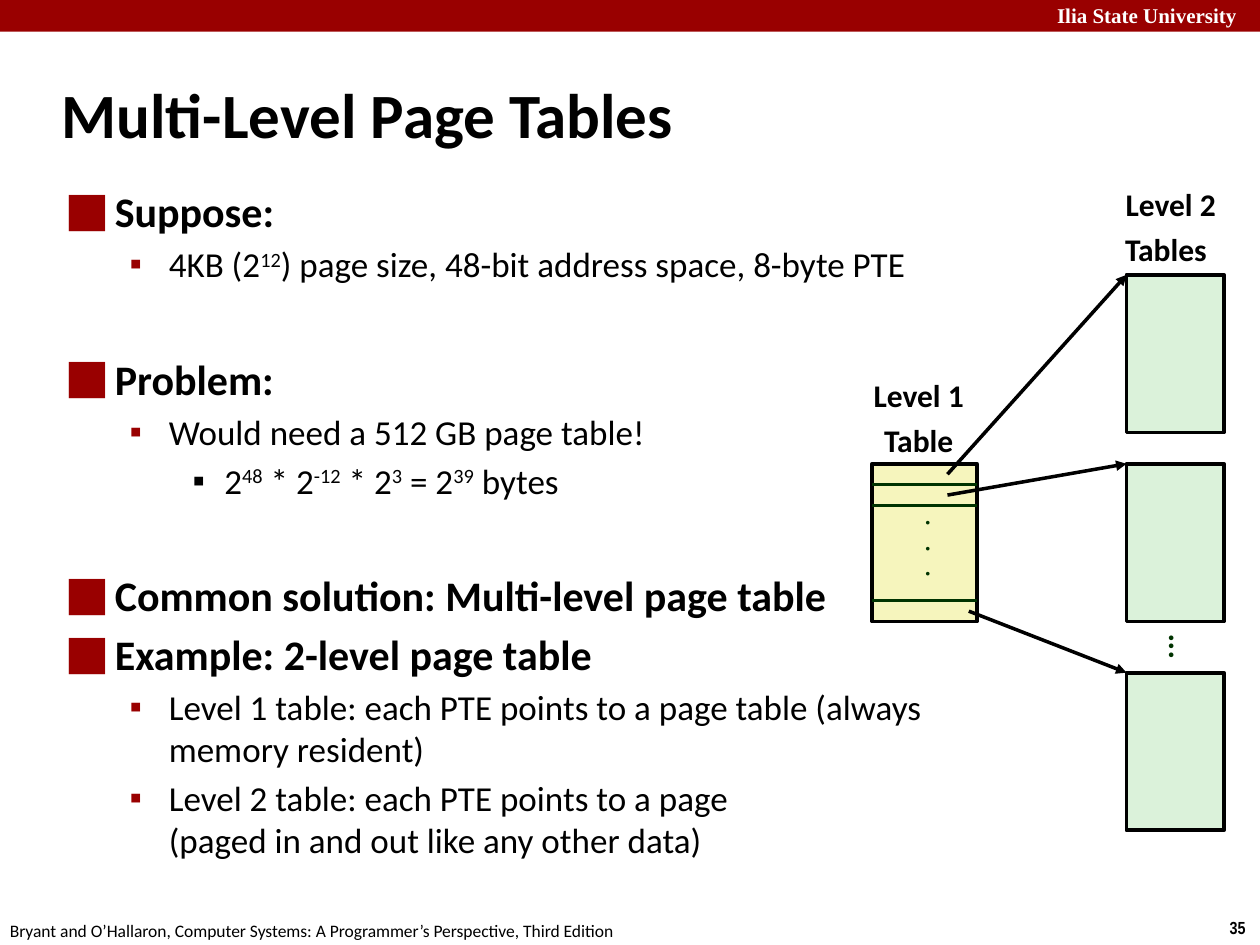
from dataclasses import dataclass

from lxml.etree import SubElement
from pptx import Presentation
from pptx.dml.color import RGBColor as Rgb
from pptx.enum.shapes import MSO_CONNECTOR as Link, MSO_SHAPE as Shape
from pptx.enum.text import MSO_ANCHOR as Anchor, MSO_AUTO_SIZE as Fit, PP_ALIGN as Align
from pptx.oxml.ns import qn
from pptx.util import Cm, Pt


@dataclass(frozen=True)
class Theme:
    """Colours, fonts and type sizes of the slide."""
    red: str = "990000"
    ink: str = "000000"
    paper: str = "FFFFFF"
    green: str = "003300"
    level_1: str = "F6F5BD"
    level_2: str = "DBF2DA"
    font: str = "Calibri"
    banner_font: str = "Times New Roman"
    number_font: str = "Arial Narrow"
    title: int = 36
    heading: int = 24
    point: int = 20
    label: int = 18
    dots: int = 14
    banner: int = 12
    footer: int = 10


THEME = Theme()
LEVELS = [
    (0.97, -0.97, "⬛", THEME.red, THEME.heading, 4.8),
    (2.06, -0.79, "▪", THEME.red, THEME.point, 4),
    (3.18, -0.64, "▪", THEME.ink, THEME.point, 4),
]
SECTION_GAP = 39
OUTLINE = [
    (0, "Suppose:", 0),
    (1, "4KB (2^12^) page size, 48-bit address space, 8-byte PTE", None),
    (0, "Problem:", SECTION_GAP),
    (1, "Would need a 512 GB page table!", None),
    (2, "2^48^ * 2^-12^ * 2^3^ = 2^39^ bytes", None),
    (0, "Common solution: Multi-level page table", SECTION_GAP),
    (0, "Example: 2-level page table", None),
    (1, "Level 1 table: each PTE points to a page table (always memory resident)", None),
    (1, "Level 2 table: each PTE points to a page\n(paged in and out like any other data)", None),
]


def add_run(paragraph, text, size, bold=False, color=THEME.ink, font=THEME.font):
    """Append one formatted run and return it."""
    run = paragraph.add_run()
    run.text = text
    run.font.size, run.font.bold, run.font.name = Pt(size), bold, font
    run.font.color.rgb = Rgb.from_string(color)
    return run


def place(shape, left, top, width, height):
    """Move a placeholder to a box given in centimetres."""
    shape.left, shape.top, shape.width, shape.height = map(Cm, (left, top, width, height))


def add_text(slide, box, lines, size, aligns=(Align.LEFT,), spacing=None, wrap=False,
             rotation=0, **style):
    """Add a text box with one paragraph for each line."""
    label = slide.shapes.add_textbox(*map(Cm, box))
    label.rotation = rotation
    frame = label.text_frame
    frame.word_wrap = wrap
    for i, (line, align) in enumerate(zip(lines, aligns)):
        paragraph = frame.add_paragraph() if i else frame.paragraphs[0]
        paragraph.alignment, paragraph.line_spacing = align, spacing
        if i:
            paragraph.space_before = Pt(6.8)
        add_run(paragraph, line, size, **style)


def add_box(slide, box, fill, outlined=True):
    """Add a flat rectangle, outlined in ink or without a line."""
    rect = slide.shapes.add_shape(Shape.RECTANGLE, *map(Cm, box))
    rect.shadow.inherit = False
    rect.fill.solid()
    rect.fill.fore_color.rgb = Rgb.from_string(fill)
    if outlined:
        rect.line.color.rgb = Rgb.from_string(THEME.ink)
        rect.line.width = Pt(2.25)
    else:
        rect.line.fill.background()


def add_line(slide, ends, color, width, arrow=False):
    """Add a straight line, with an arrowhead at its end if asked."""
    line = slide.shapes.add_connector(Link.STRAIGHT, *map(Cm, ends))
    line.line.color.rgb = Rgb.from_string(color)
    line.line.width = Pt(width)
    if arrow:
        SubElement(line.line._get_or_add_ln(), qn("a:tailEnd"), type="triangle")
    SubElement(line._element.spPr, qn("a:effectLst"))


def build_frame(slide, width, height):
    """Place the banner and the footer on the edges of the slide."""
    add_box(slide, (0, 0, width, 0.64), THEME.red, outlined=False)
    add_text(slide, (width - 4.34, -0.08, 4.52, 0.76), ["Ilia State University"], THEME.banner,
             bold=True, color=THEME.paper, font=THEME.banner_font)
    add_text(slide, (width - 0.86, height - 0.69, 0.86, 0.69), ["35"], THEME.footer,
             bold=True, font=THEME.number_font)
    add_text(slide, (-0.05, height - 0.63, 12.9, 0.69),
             ["Bryant and O’Hallaron, Computer Systems: A Programmer’s Perspective, Third Edition"],
             THEME.footer)


def build_title(slide, box):
    """Fill the title placeholder."""
    title = slide.shapes.title
    place(title, *box)
    title.text_frame.auto_size = Fit.NONE
    title.text_frame.vertical_anchor = Anchor.MIDDLE
    heading = title.text_frame.paragraphs[0]
    heading.alignment = Align.LEFT
    add_run(heading, "Multi-Level Page Tables", THEME.title, bold=True)


def build_outline(slide, box):
    """Fill the body placeholder with the bulleted outline."""
    body = slide.placeholders[1]
    place(body, *box)
    frame = body.text_frame
    frame.auto_size = Fit.NONE
    for i, (level, text, gap) in enumerate(OUTLINE):
        margin, indent, bullet, color, size, space = LEVELS[level]
        point = frame.add_paragraph() if i else frame.paragraphs[0]
        point.level = level
        props = point._p.get_or_add_pPr()
        props.set("marL", str(Cm(margin)))
        props.set("indent", str(Cm(indent)))
        SubElement(SubElement(props, qn("a:buClr")), qn("a:srgbClr"), val=color)
        SubElement(props, qn("a:buChar"), char=bullet)
        point.space_before = Pt(space if gap is None else gap)
        for row, line in enumerate(text.split("\n")):
            if row:
                point.add_line_break()
            for part, piece in enumerate(line.split("^")):
                run = add_run(point, piece, size, bold=level == 0)
                if part % 2:
                    run.font._element.set("baseline", "30000")


def build_diagram(slide, left, top):
    """Draw the level 1 table pointing to the level 2 tables."""
    height, entry = 3.18, 0.42
    table_x, table_y, table_w = left + 0.23, top + 5.64, 2.11
    level_2_x = left + 5.36
    level_2_tops = [top + y for y in (1.83, 5.64, 9.85)]
    starts = [(1.52, entry / 2), (1.52, entry * 1.5), (1.95, height - entry / 2)]
    label = dict(size=THEME.label, spacing=0.88, bold=True)

    add_text(slide, (left, top + 3.84, 2.34, 1.85), ["Level 1", "Table"],
             aligns=(Align.CENTER, Align.CENTER), **label)
    add_text(slide, (left + 5.08, top, 2.34, 1.85), ["Level 2", "Tables"],
             aligns=(Align.CENTER, Align.LEFT), **label)
    add_box(slide, (table_x, table_y, table_w, height), THEME.level_1)
    for y in level_2_tops:
        add_box(slide, (level_2_x, y, 1.96, height), THEME.level_2)
    add_text(slide, (left + 5.59, top + 8.86, 1.02, 0.91), ["..."],
             rotation=270, color=THEME.green, **label)
    for (x, y), target in zip(starts, level_2_tops):
        add_line(slide, (table_x + x, table_y + y, level_2_x, target), THEME.ink, 2, arrow=True)
    for offset in (entry, entry * 2, height - entry):
        y = table_y + offset
        add_line(slide, (table_x, y, table_x + table_w, y), THEME.green, 1.5)
    add_text(slide, (left + 0.91, top + 6.55, 0.76, 1.83), ["..."], THEME.dots, spacing=0.88,
             wrap=True, rotation=180, bold=True, color=THEME.green)


def main():
    """Build the slide and save it."""
    deck = Presentation()
    width, height = 25.4, 19.05
    deck.slide_width, deck.slide_height = Cm(width), Cm(height)
    slide = deck.slides.add_slide(deck.slide_layouts[1])
    build_frame(slide, width, height)
    build_title(slide, (0.99, 1.22, 21.08, 2.11))
    build_outline(slide, (1.09, 3.61, 19.23, 13.82))
    build_diagram(slide, 17.35, 3.71)
    deck.save("out.pptx")


if __name__ == "__main__":
    main()
